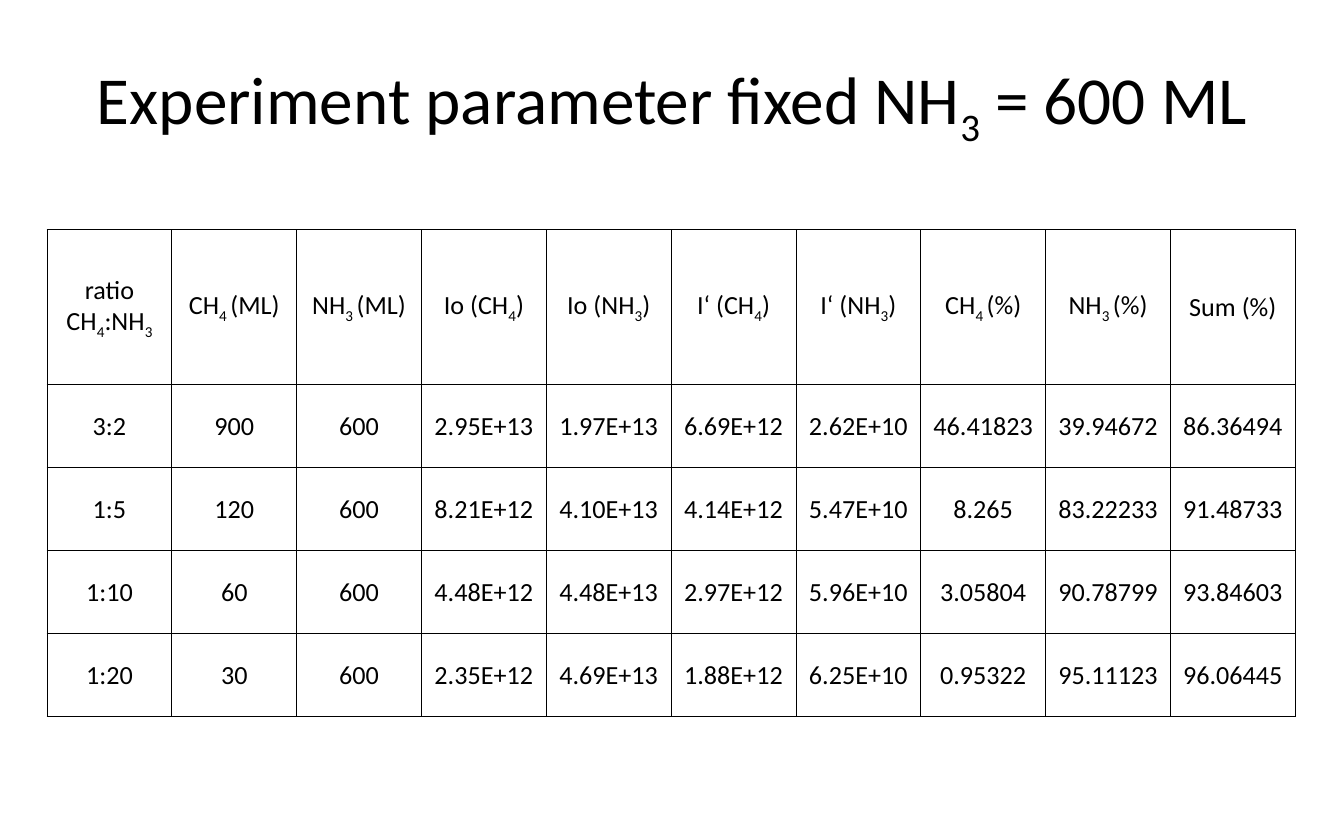
from dataclasses import dataclass

from lxml import etree
from pptx import Presentation
from pptx import util as u
from pptx.dml.color import RGBColor
from pptx.enum import text
from pptx.oxml import ns


@dataclass(frozen=True)
class Theme:
    """Colours, font and sizes of the slide."""
    font: str = "Calibri"
    ink: str = "000000"
    title_pt: float = 36
    cell_pt: float = 14
    border_pt: float = 0.5


THEME = Theme()
TITLE = "Experiment parameter fixed NH_3_ = 600 ML"
ROWS = [
    ["ratio CH_4_:NH_3", "CH_4 _(ML)", "NH_3 _(ML)", "Io (CH_4_)", "Io (NH_3_)",
     "I‘ (CH_4_)", "I‘ (NH_3_)", "CH_4 _(%)", "NH_3 _(%)", "Sum (%)"],
    ["3:2", "900", "600", "2.95E+13", "1.97E+13", "6.69E+12", "2.62E+10",
     "46.41823", "39.94672", "86.36494"],
    ["1:5", "120", "600", "8.21E+12", "4.10E+13", "4.14E+12", "5.47E+10",
     "8.265", "83.22233", "91.48733"],
    ["1:10", "60", "600", "4.48E+12", "4.48E+13", "2.97E+12", "5.96E+10",
     "3.05804", "90.78799", "93.84603"],
    ["1:20", "30", "600", "2.35E+12", "4.69E+13", "1.88E+12", "6.25E+10",
     "0.95322", "95.11123", "96.06445"],
]


def write_formula(tf, formula, size):
    """Write centred text in which every second part between underscores is a subscript."""
    p = tf.paragraphs[0]
    p.alignment = text.PP_ALIGN.CENTER
    p.font.name = THEME.font
    p.font.size = u.Pt(size)
    p.font.color.rgb = RGBColor.from_string(THEME.ink)
    for i, part in enumerate(formula.split("_")):
        if part:
            r = p.add_run()
            r.text = part
            if i % 2:
                r.font._element.set("baseline", "-25000")


def set_borders(cell):
    """Draw a thin line on all four sides of a cell."""
    tc_pr = cell._tc.get_or_add_tcPr()
    for i, side in enumerate(("lnL", "lnR", "lnT", "lnB")):
        ln = etree.Element(ns.qn(f"a:{side}"), w=str(u.Pt(THEME.border_pt)))
        fill = etree.SubElement(ln, ns.qn("a:solidFill"))
        etree.SubElement(fill, ns.qn("a:srgbClr"), val=THEME.ink)
        tc_pr.insert(i, ln)


def place_title(s, left, top, width, height):
    """Fill the title placeholder and move it to the box."""
    sp = s.shapes.title
    sp.left, sp.top, sp.width, sp.height = map(u.Inches, (left, top, width, height))
    tf = sp.text_frame
    tf.vertical_anchor = text.MSO_ANCHOR.MIDDLE
    write_formula(tf, TITLE, THEME.title_pt)


def place_table(s, left, top, width, height, header_height):
    """Add the parameter table with equal columns and equal body rows."""
    box = map(u.Inches, (left, top, width, height))
    table = s.shapes.add_table(len(ROWS), len(ROWS[0]), *box).table
    table.first_row = table.horz_banding = False
    body_height = (height - header_height) / (len(ROWS) - 1)
    for i, values in enumerate(ROWS):
        table.rows[i].height = u.Inches(body_height if i else header_height)
        for j, value in enumerate(values):
            cell = table.cell(i, j)
            cell.margin_left = cell.margin_right = cell.margin_top = u.Inches(0.01)
            cell.margin_bottom = 0
            cell.vertical_anchor = text.MSO_ANCHOR.MIDDLE
            cell.fill.background()
            set_borders(cell)
            write_formula(cell.text_frame, value, THEME.cell_pt)


def main():
    """Build and save the slide."""
    prs = Presentation()
    prs.slide_width, prs.slide_height = u.Inches(10), u.Inches(6.25)
    s = prs.slides.add_slide(prs.slide_layouts[5])
    place_title(s, 0.5, 0.25, 9, 1.04)
    place_table(s, 0.35, 1.71, 9.29, 3.62, header_height=1.15)
    prs.save("out.pptx")


main()
